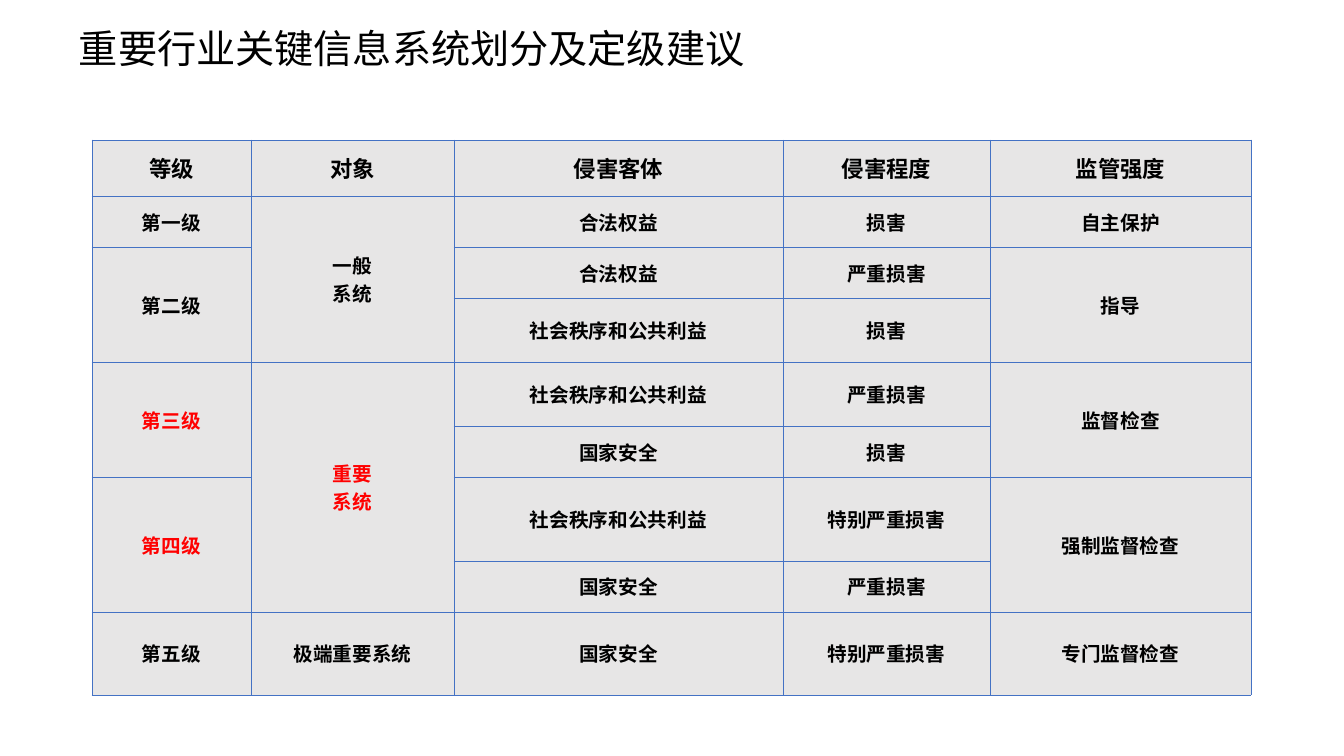
from dataclasses import dataclass

from lxml import etree
from pptx import Presentation
from pptx.dml.color import RGBColor
from pptx.enum.text import MSO_ANCHOR, PP_ALIGN
from pptx.oxml.ns import qn
from pptx.util import Pt

LEFT, CENTER = PP_ALIGN.LEFT, PP_ALIGN.CENTER
MIDDLE = MSO_ANCHOR.MIDDLE

TITLE = "重要行业关键信息系统划分及定级建议"
ROWS = [
    ("等级", "对象", "侵害客体", "侵害程度", "监管强度"),
    ("第一级", "一般\n系统", "合法权益", "损害", "自主保护"),
    ("第二级", None, "合法权益", "严重损害", "指导"),
    (None, None, "社会秩序和公共利益", "损害", None),
    ("第三级", "重要\n系统", "社会秩序和公共利益", "严重损害", "监督检查"),
    (None, None, "国家安全", "损害", None),
    ("第四级", None, "社会秩序和公共利益", "特别严重损害", "强制监督检查"),
    (None, None, "国家安全", "严重损害", None),
    ("第五级", "极端重要系统", "国家安全", "特别严重损害", "专门监督检查"),
]
ALERTS = {"第三级", "第四级", "重要\n系统"}
WIDTHS = (159, 203, 329, 207, 261)
HEIGHTS = (56, 51, 51, 64, 64, 51, 84, 51, 83)
SLIDE = (1344, 756)
TITLE_BOX = (69, 2, 1127, 98)
TABLE_AT = (92, 140)
PAD_X, PAD_Y = 13, 7


@dataclass(frozen=True)
class Theme:
    font: str = "Noto Sans CJK SC"
    ink: str = "000000"
    alert: str = "FF0000"
    fill: str = "E7E6E6"
    line: str = "4472C4"
    rule: float = 0.5
    title: int = 28
    head: int = 16
    body: int = 14


THEME = Theme()


def px(n):
    return round(n * 914400 / 100.8)


def write(frame, text, size, color=THEME.ink, bold=False, align=CENTER, space=1.0):
    frame.word_wrap = True
    frame.text = text
    for para in frame.paragraphs:
        para.alignment = align
        para.line_spacing = space
        for run in para.runs:
            font = run.font
            font.size = Pt(size)
            font.bold = bold
            font.name = THEME.font
            font.color.rgb = RGBColor.from_string(color)
            east = etree.SubElement(run._r.get_or_add_rPr(), qn("a:ea"))
            east.set("typeface", THEME.font)


def border(cell):
    props = cell._tc.get_or_add_tcPr()
    for i, side in enumerate(("lnL", "lnR", "lnT", "lnB")):
        line = etree.Element(qn(f"a:{side}"), w=str(Pt(THEME.rule)))
        fill = etree.SubElement(line, qn("a:solidFill"))
        etree.SubElement(fill, qn("a:srgbClr"), val=THEME.line)
        props.insert(i, line)


def style(cell):
    cell.fill.solid()
    cell.fill.fore_color.rgb = RGBColor.from_string(THEME.fill)
    cell.vertical_anchor = MIDDLE
    cell.margin_left = cell.margin_right = px(PAD_X)
    cell.margin_top = cell.margin_bottom = px(PAD_Y)
    border(cell)


def add_title(slide):
    frame = slide.shapes.add_textbox(*map(px, TITLE_BOX)).text_frame
    frame.vertical_anchor = MIDDLE
    write(frame, TITLE, THEME.title, align=LEFT, space=0.9)


def add_grid(slide):
    size = (sum(WIDTHS), sum(HEIGHTS))
    table = slide.shapes.add_table(
        len(ROWS), len(WIDTHS), *map(px, TABLE_AT + size)
    ).table
    table.horz_banding = False
    for col, width in zip(table.columns, WIDTHS):
        col.width = px(width)
    for row, height in zip(table.rows, HEIGHTS):
        row.height = px(height)
    for r, row in enumerate(ROWS):
        for c, text in enumerate(row):
            cell = table.cell(r, c)
            style(cell)
            if text is None:
                continue
            end = r
            while end + 1 < len(ROWS) and ROWS[end + 1][c] is None:
                end += 1
            if end > r:
                cell.merge(table.cell(end, c))
            write(
                cell.text_frame,
                text,
                THEME.body if r else THEME.head,
                color=THEME.alert if text in ALERTS else THEME.ink,
                bold=True,
            )


def main():
    deck = Presentation()
    deck.slide_width, deck.slide_height = map(px, SLIDE)
    slide = deck.slides.add_slide(deck.slide_layouts[6])
    add_title(slide)
    add_grid(slide)
    deck.save("out.pptx")


if __name__ == "__main__":
    main()
